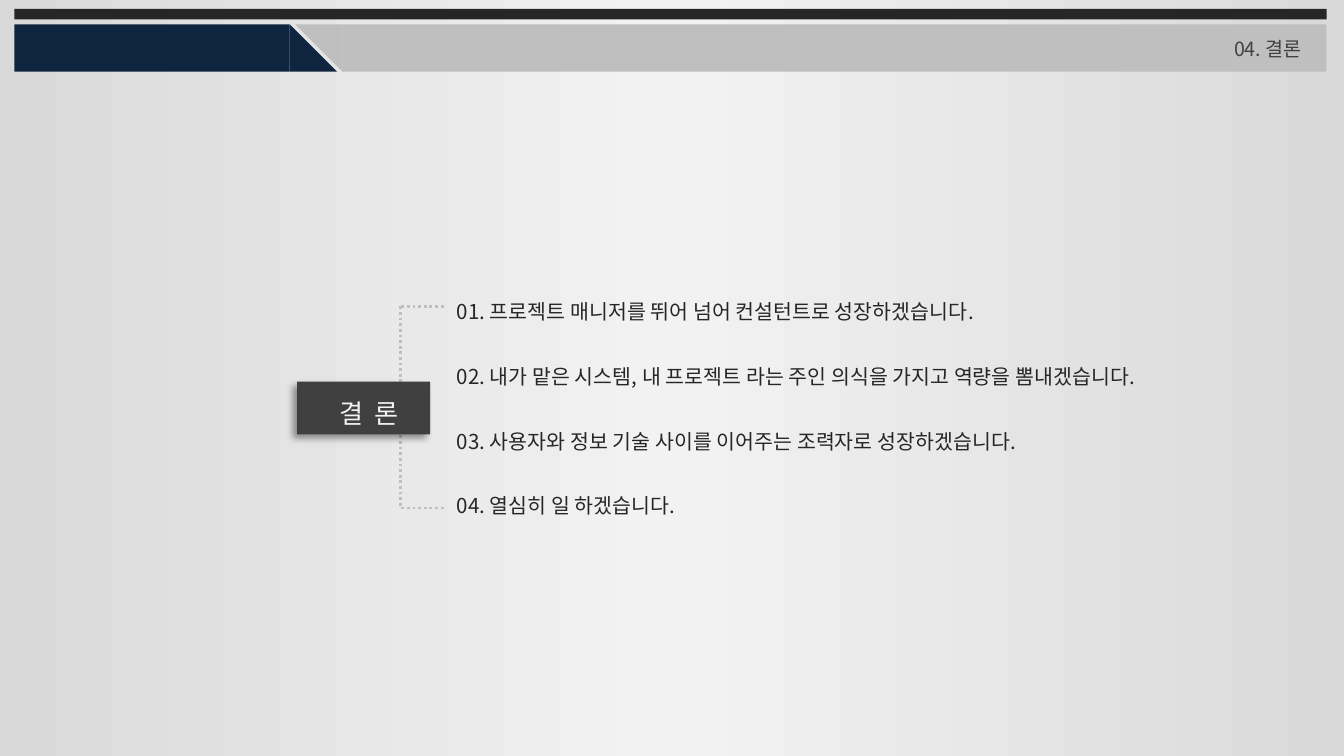
from copy import deepcopy

from lxml.etree import SubElement
from pptx import Presentation
from pptx.dml.color import RGBColor
from pptx.enum.dml import MSO_LINE
from pptx.enum.shapes import MSO_CONNECTOR, MSO_SHAPE
from pptx.enum.text import MSO_AUTO_SIZE, PP_ALIGN
from pptx.oxml import parse_xml
from pptx.oxml.ns import nsdecls, qn
from pptx.util import Pt

FONT = "Noto Sans CJK KR"
NAVY, GREY, DARK, INK = "0F243E", "BFBFBF", "404040", "262626"
GOALS = [
    "01. 프로젝트 매니저를 뛰어 넘어 컨설턴트로 성장하겠습니다.",
    "02. 내가 맡은 시스템, 내 프로젝트 라는 주인 의식을 가지고 역량을 뽐내겠습니다.",
    "03. 사용자와 정보 기술 사이를 이어주는 조력자로 성장하겠습니다.",
    "04. 열심히 일 하겠습니다.",
]


def colour(value):
    return RGBColor.from_string(value)


def add_block(page, left, top, width, height, fill, kind=MSO_SHAPE.RECTANGLE):
    block = page.shapes.add_shape(kind, Pt(left), Pt(top), Pt(width), Pt(height))
    block.shadow.inherit = False
    block.fill.solid()
    block.fill.fore_color.rgb = colour(fill)
    block.line.fill.background()
    return block


def add_dotted_line(page, x1, y1, x2, y2):
    line = page.shapes.add_connector(MSO_CONNECTOR.STRAIGHT, Pt(x1), Pt(y1), Pt(x2), Pt(y2))
    line.line.color.rgb = colour(GREY)
    line.line.width = Pt(1.5)
    line.line.dash_style = MSO_LINE.ROUND_DOT
    SubElement(line._element.spPr, qn("a:effectLst"))


def add_text(page, left, top, width, height, text, size, fill, outline=None,
             opacity=10, align=PP_ALIGN.LEFT, line_spacing=1.0, letter_spacing=0):
    box = page.shapes.add_textbox(Pt(left), Pt(top), Pt(width), Pt(height))
    frame = box.text_frame
    frame.word_wrap = True
    frame.auto_size = MSO_AUTO_SIZE.SHAPE_TO_FIT_TEXT
    frame.margin_right = 0 if align == PP_ALIGN.LEFT else Pt(7.2)
    para = frame.paragraphs[0]
    para.alignment = align
    para.line_spacing = line_spacing
    span = para.add_run()
    span.text = text
    span.font.size = Pt(size)
    span.font.name = FONT
    span.font.color.rgb = colour(fill)

    # East Asian font, letter spacing and faint outline
    props = span.font._element
    props.find(qn("a:latin")).addnext(
        parse_xml(f'<a:ea {nsdecls("a")} typeface="{FONT}"/>'))
    if letter_spacing:
        props.set("spc", str(letter_spacing * 100))
    props.insert(0, parse_xml(
        f'<a:ln {nsdecls("a")} w="{Pt(0.75)}"><a:solidFill><a:srgbClr val="{outline or fill}">'
        f'<a:alpha val="{opacity * 1000}"/></a:srgbClr></a:solidFill></a:ln>'))


def paint_background(page):
    fill = page.background.fill
    fill.gradient()
    fill.gradient_angle = 0
    first = fill.gradient_stops[0]._gs
    first.addnext(deepcopy(first))
    for stop, (position, value) in zip(
            fill.gradient_stops, [(0, "D9D9D9"), (0.5, "F2F2F2"), (1, "D9D9D9")]):
        stop.position = position
        stop.color.rgb = colour(value)


def build_header(page, left, top, width):
    # Thin bar above a two-tone band with a slanted seam
    add_block(page, left, top, width, 5.6, INK)
    band, height, tab, seam = top + 8.3, 25.3, 147.5, 3
    right = left + width
    slant = left + tab
    add_block(page, left, band, tab, height, NAVY)
    add_block(page, slant, band, height, height, NAVY, MSO_SHAPE.RIGHT_TRIANGLE)
    grey_left = slant + seam + height
    add_block(page, grey_left, band, right - grey_left, height, GREY)
    corner = add_block(page, slant + seam, band, height, height, GREY,
                       MSO_SHAPE.RIGHT_TRIANGLE)
    corner.rotation = 180
    add_text(page, right - 56.7, band + 3.4, 61.2, 20.2, "04. 결론", 10.5, DARK)


def build_conclusion(page, left, top, width):
    # Dotted bracket from the label to the first and last goals
    stem, branch_end, drop = left + 55.5, left + 78.5, 108
    add_dotted_line(page, stem, top, stem, top + drop)
    for y in (top, top + drop):
        add_dotted_line(page, branch_end, y, stem, y)

    # Label with a soft shadow
    label = add_block(page, left, top + 40.3, 71.3, 28.3, DARK)
    label._element.spPr.find(qn("a:effectLst")).append(parse_xml(
        f'<a:outerShdw {nsdecls("a")} blurRad="{Pt(4)}" dist="{Pt(3)}" dir="{135 * 60000}" '
        'algn="tr" rotWithShape="0"><a:srgbClr val="000000"><a:alpha val="40000"/>'
        '</a:srgbClr></a:outerShdw>'))
    add_text(page, left - 0.7, top + 36.6, 78.5, 29.5, "결론", 14, "F2F2F2", INK, 26,
             PP_ALIGN.CENTER, 1.5, 6)

    # Goals at an even pitch
    for index, goal in enumerate(GOALS):
        add_text(page, branch_end, top - 14.4 + index * 34.8, width - 78.5, 27.4,
                 goal, 11, INK, line_spacing=1.5)


def main():
    deck = Presentation()
    deck.slide_width, deck.slide_height = Pt(720), Pt(405)
    page = deck.slides.add_slide(deck.slide_layouts[6])
    paint_background(page)
    build_header(page, 7.7, 4.8, 703)
    build_conclusion(page, 159.1, 164.2, 474)
    deck.save("out.pptx")


if __name__ == "__main__":
    main()
